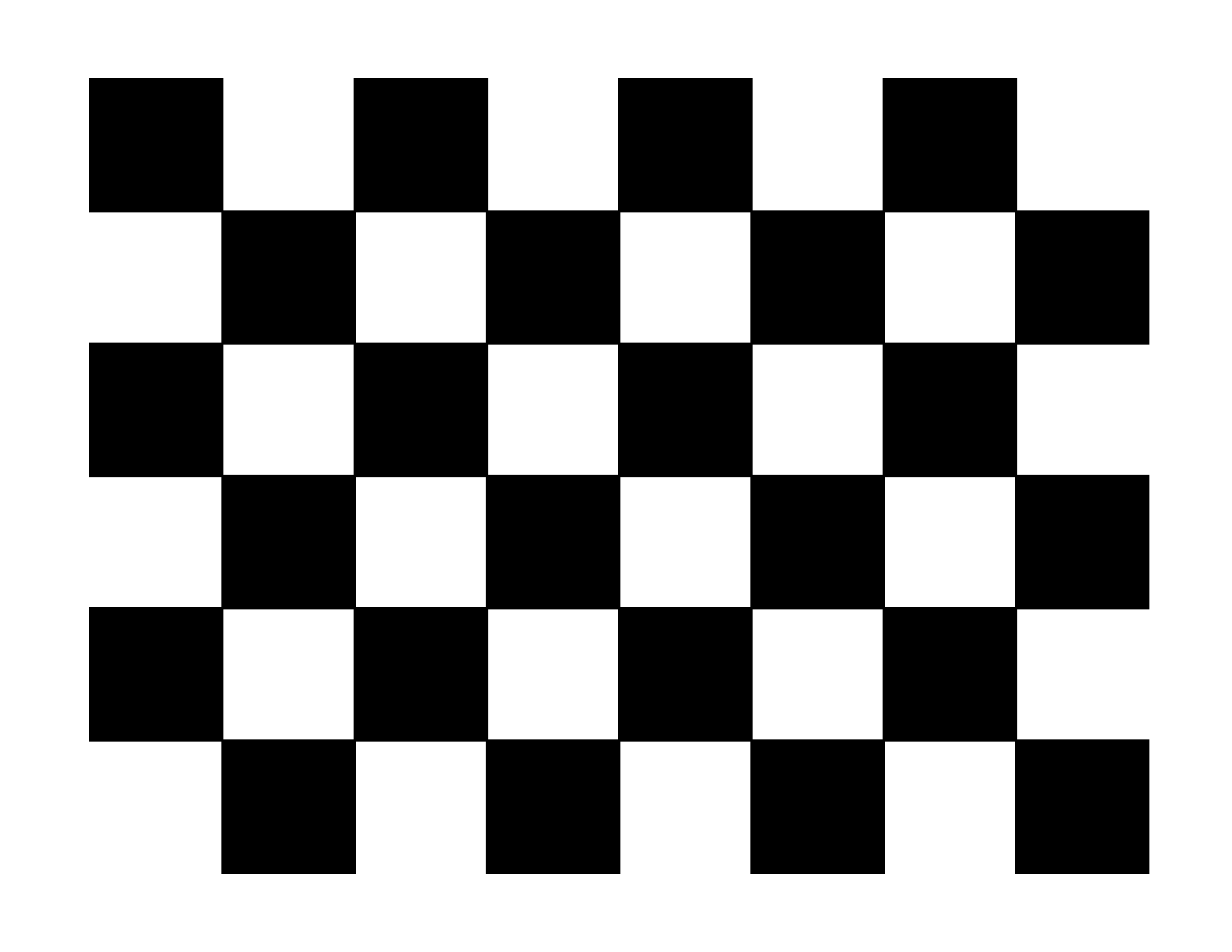
"""Build a slide with a checkerboard of 6 rows by 8 columns."""
from pptx import Presentation
from pptx import util as u
from pptx.dml.color import RGBColor
from pptx.enum import shapes

ROWS, COLUMNS = 6, 8
LEFT, TOP = 2.02, 1.77
PITCH, SIDE = 3, 3.05
BLACK = RGBColor(0, 0, 0)
WHITE = RGBColor(255, 255, 255)


def add_square(board, row, column):
    square = board.shapes.add_shape(
        shapes.MSO_SHAPE.RECTANGLE,
        u.Cm(LEFT + column * PITCH), u.Cm(TOP + row * PITCH),
        u.Cm(SIDE), u.Cm(SIDE))
    square.shadow.inherit = False
    square.fill.solid()
    square.fill.fore_color.rgb = BLACK
    square.line.fill.background()


def main():
    deck = Presentation()
    deck.slide_width, deck.slide_height = u.Cm(27.94), u.Cm(21.59)
    board = deck.slides.add_slide(deck.slide_layouts[6])
    board.background.fill.solid()
    board.background.fill.fore_color.rgb = WHITE
    for row_pair in range(0, ROWS, 2):
        for column in range(COLUMNS):
            add_square(board, row_pair + column % 2, column)
    deck.save("out.pptx")


if __name__ == "__main__":
    main()
